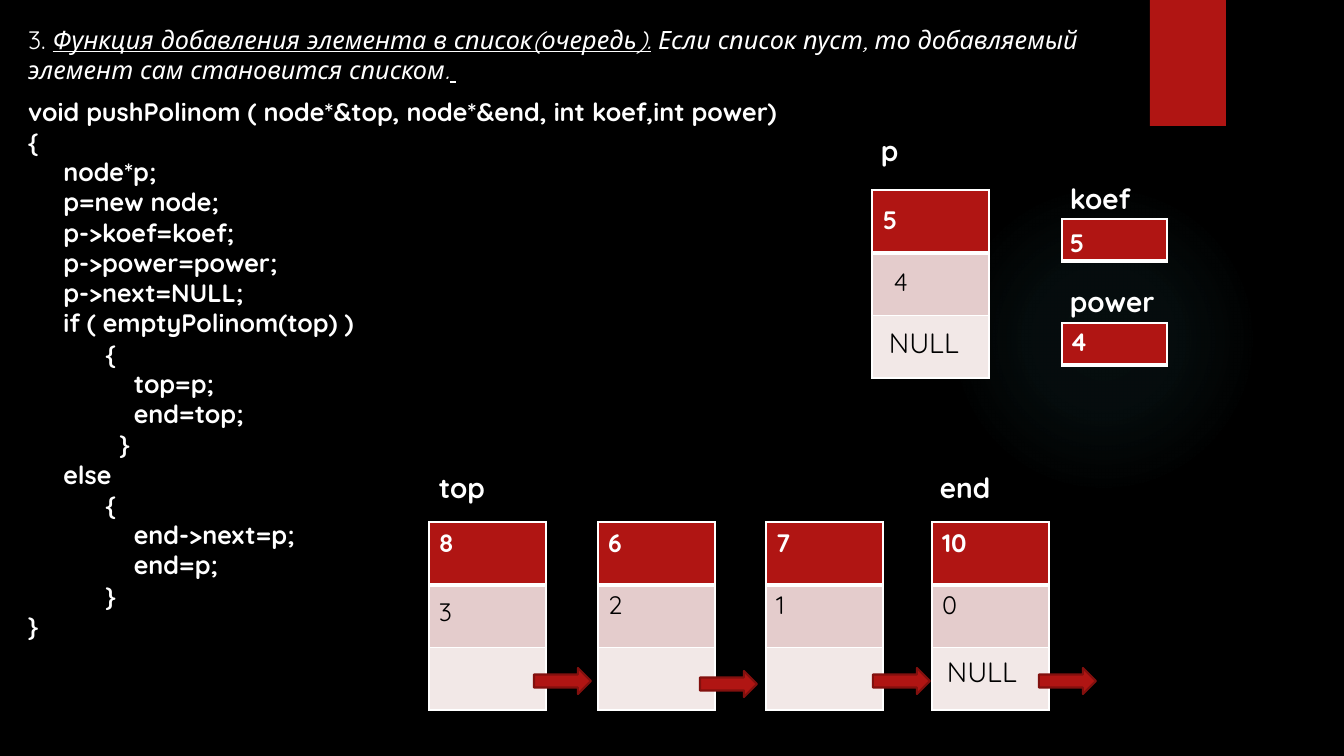
from dataclasses import dataclass

from pptx import Presentation
from pptx.dml.color import RGBColor
from pptx.enum.shapes import MSO_SHAPE
from pptx.enum.text import MSO_ANCHOR, MSO_AUTO_SIZE, PP_ALIGN
from pptx.oxml import parse_xml
from pptx.oxml.ns import nsdecls, qn
from pptx.util import Pt

EMU_PER_PX = 914400 / 100.8


def px(length):
    return round(length * EMU_PER_PX)


@dataclass(frozen=True)
class Theme:
    font: str = "Quicksand"
    black: str = "000000"
    white: str = "FFFFFF"
    red: str = "B01513"
    red_edge: str = "82100E"
    pink: str = "E4CCCC"
    pale_pink: str = "F2E8E7"
    glow: str = "50B9C1"
    text_size: int = 18
    label_size: int = 20


class SlideBuilder:
    def __init__(self, page, theme):
        self.page = page
        self.theme = theme
        page.background.fill.solid()
        page.background.fill.fore_color.rgb = RGBColor.from_string(theme.black)

    def style(self, font, color, size=None, bold=False, italic=False, underline=False):
        font.name = self.theme.font
        font.size = Pt(size or self.theme.text_size)
        font.color.rgb = RGBColor.from_string(color)
        font.bold, font.italic, font.underline = bold, italic, underline

    def add_span(self, para, text, color, **style):
        span = para.add_run()
        span.text = text
        self.style(span.font, color, **style)

    def placeholder(self, index, left, top, width, height, lines, **style):
        """Move a placeholder and fill it; each line is a list of (text, run style)."""
        box = self.page.placeholders[index]
        box.left, box.top, box.width, box.height = map(px, (left, top, width, height))
        frame = box.text_frame
        frame.word_wrap = True
        frame.auto_size = MSO_AUTO_SIZE.NONE
        frame.vertical_anchor = MSO_ANCHOR.TOP
        for number, spans in enumerate(lines):
            para = frame.add_paragraph() if number else frame.paragraphs[0]
            properties = para._p.get_or_add_pPr()
            properties.set("marL", "0")
            properties.set("indent", "0")
            properties.append(parse_xml(f"<a:buNone {nsdecls('a')}/>"))
            para.alignment = PP_ALIGN.LEFT
            para.space_before = Pt(0)
            for text, extra in spans:
                self.add_span(para, text, self.theme.white, **style, **extra)

    def text(self, left, top, width, height, text, color, **style):
        box = self.page.shapes.add_textbox(*map(px, (left, top, width, height)))
        box.text_frame.word_wrap = True
        self.add_span(box.text_frame.paragraphs[0], text, color, **style)

    def label(self, left, top, width, text):
        self.text(left, top, width, 44, text, self.theme.white,
                  size=self.theme.label_size, bold=True)

    def shape(self, kind, left, top, width, height, fill, line=None):
        shape = self.page.shapes.add_shape(kind, *map(px, (left, top, width, height)))
        shape.shadow.inherit = False
        shape.fill.solid()
        shape.fill.fore_color.rgb = RGBColor.from_string(fill)
        if line:
            shape.line.color.rgb = RGBColor.from_string(line)
            shape.line.width = Pt(1.5)
        else:
            shape.line.fill.background()
        return shape

    def glow(self, left, top, size):
        shape = self.shape(MSO_SHAPE.OVAL, left, top, size, size, self.theme.glow)
        stops = "".join(
            f'<a:gs pos="{position}000"><a:srgbClr val="{self.theme.glow}">'
            f'<a:alpha val="{opacity}000"/></a:srgbClr></a:gs>'
            for position, opacity in ((0, 7), (36, 6), (69, 0), (100, 0)))
        gradient = parse_xml(
            f'<a:gradFill {nsdecls("a")}><a:gsLst>{stops}</a:gsLst><a:path path="circle">'
            '<a:fillToRect l="50000" t="50000" r="50000" b="50000"/></a:path></a:gradFill>')
        properties = shape._element.spPr
        plain_fill = properties.find(qn("a:solidFill"))
        plain_fill.addnext(gradient)
        properties.remove(plain_fill)

    def borders(self, cell, bottom, top=1):
        properties = cell._tc.get_or_add_tcPr()
        for side, points in (("L", 1), ("R", 1), ("T", top), ("B", bottom)):
            properties.append(parse_xml(
                f'<a:ln{side} {nsdecls("a")} w="{Pt(points)}"><a:solidFill>'
                f'<a:srgbClr val="{self.theme.white}"/></a:solidFill></a:ln{side}>'))

    def table(self, left, top, width, height, values):
        """Draw a one-column table with a red first cell."""
        table = self.page.shapes.add_table(
            len(values), 1, *map(px, (left, top, width, height))).table
        table.first_row = table.horz_banding = False
        fills = (self.theme.red, self.theme.pink, self.theme.pale_pink)
        for row, (value, fill) in enumerate(zip(values, fills)):
            cell = table.cell(row, 0)
            self.borders(cell, bottom=1 if row else 3, top=3 if row == 1 else 1)
            cell.fill.solid()
            cell.fill.fore_color.rgb = RGBColor.from_string(fill)
            para = cell.text_frame.paragraphs[0]
            color = self.theme.black if row else self.theme.white
            if value:
                self.add_span(para, value, color, bold=row == 0)
            else:
                self.style(para.font, color)


HEADING = [[
    ("3. ", {}),
    ("Функция добавления элемента в список(очередь).", {"italic": True, "underline": True}),
    (" Если список пуст, то добавляемый элемент сам становится списком.", {"italic": True}),
    (" ", {"italic": True, "underline": True}),
]]

CODE = """void pushPolinom ( node*&top, node*&end, int koef,int power)
{
     node*p;
     p=new node;
     p->koef=koef;
     p->power=power;
     p->next=NULL;
     if ( emptyPolinom(top) )
           {
               top=p;
               end=top;
             }
     else
           {
               end->next=p;
               end=p;
           }
}"""


def main():
    deck = Presentation()
    deck.slide_width, deck.slide_height = px(1344), px(756)
    theme = Theme()
    slide = SlideBuilder(deck.slides.add_slide(deck.slide_layouts[1]), theme)

    slide.glow(949, 184, 310)
    slide.shape(MSO_SHAPE.RECTANGLE, 1150, 0, 76, 126, theme.red)
    slide.placeholder(0, 18, 19, 1091, 72, HEADING)
    slide.placeholder(1, 18, 91, 791, 559,
                      [[(line, {})] for line in CODE.split("\n")], bold=True)

    queue = ((429, ("", "", "")), (598, ("6", "2", "")),
             (766, ("7", "1", "")), (932, ("10", "0", "")))
    for left, values in queue:
        slide.table(left, 522, 117, 188, values)
    slide.table(872, 190, 117, 188, ("", "", ""))
    for top in (219, 323):
        slide.table(1062, top, 105, 41, ("",))

    for left, top in ((534, 668), (700, 671), (873, 668), (1039, 668)):
        slide.shape(MSO_SHAPE.RIGHT_ARROW, left, top, 57, 26, theme.red, theme.red_edge)

    for left, top, width, name in ((429, 466, 71, "top"), (930, 466, 77, "end"),
                                   (871, 129, 71, "p"), (1060, 177, 109, "koef"),
                                   (1060, 280, 109, "power")):
        slide.label(left, top, width, name)

    for left, top, value in ((429, 522, "8"), (873, 199, "5"),
                             (1060, 222, "5"), (1060, 321, "4")):
        slide.text(left, top, 83, 40, value, theme.white, bold=True)
    for left, top, value in ((429, 591, "3"), (884, 261, "4")):
        slide.text(left, top, 83, 40, value, theme.black)
    for left, top in ((879, 321), (937, 650)):
        slide.text(left, top, 102, 44, "NULL", theme.black, size=theme.label_size)

    deck.save("out.pptx")


if __name__ == "__main__":
    main()
